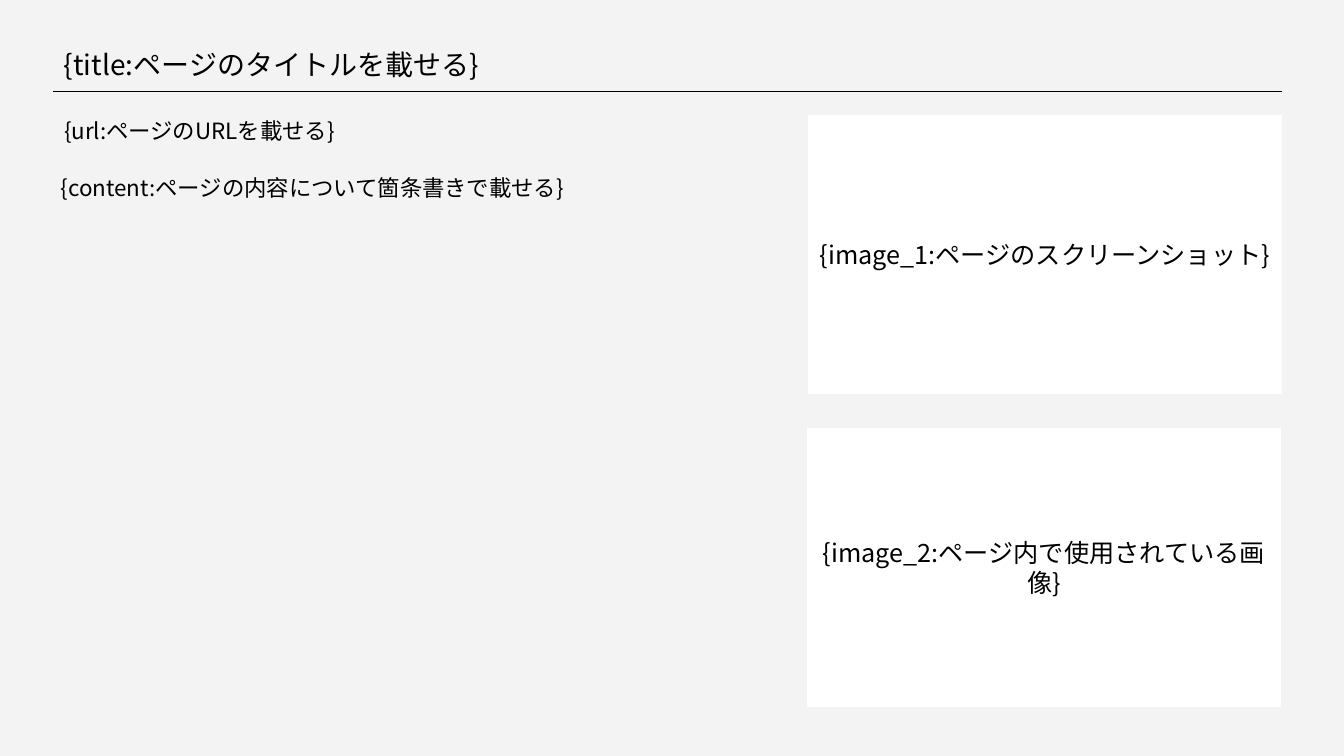
import pptx
import pptx.dml.color
import pptx.enum.shapes
import pptx.enum.text
import pptx.oxml
import pptx.oxml.ns
import pptx.util

PX = 12192000 / 1344
FONT = "Noto Sans CJK JP"


def rgb(value):
    return pptx.dml.color.RGBColor.from_string(value)


def write(shape, text, size):
    """Fill the shape with one black paragraph, in FONT for both scripts."""
    shape.text_frame.word_wrap = True
    shape.text_frame.text = text
    paragraph = shape.text_frame.paragraphs[0]
    font = paragraph.runs[0].font
    font.name = FONT
    font.size = pptx.util.Pt(size)
    font.color.rgb = rgb("000000")
    east_asian = pptx.oxml.parse_xml(
        f'<a:ea {pptx.oxml.ns.nsdecls("a")} typeface="{FONT}"/>')
    paragraph.runs[0]._r.rPr.find(pptx.oxml.ns.qn("a:latin")).addnext(east_asian)
    return paragraph


presentation = pptx.Presentation()
presentation.slide_width = round(1344 * PX)
presentation.slide_height = round(756 * PX)
slide = presentation.slides.add_slide(presentation.slide_layouts[6])
slide.background.fill.solid()
slide.background.fill.fore_color.rgb = rgb("F3F3F3")

# Title, address and content
for text, box, size, spacing in [
    ("{title:ページのタイトルを載せる}", (64, 47, 1150, 34), 20, 1.0),
    ("{url:ページのURLを載せる}", (64, 104, 1221, 46), 16, 1.5),
    ("{content:ページの内容について箇条書きで載せる}", (61, 161, 716, 547), 16, 1.5),
]:
    text_box = slide.shapes.add_textbox(*[round(length * PX) for length in box])
    frame = text_box.text_frame
    frame.margin_left = frame.margin_right = 0
    frame.margin_top = frame.margin_bottom = 0
    write(text_box, text, size).line_spacing = spacing

# Rule under the title
rule = slide.shapes.add_connector(
    pptx.enum.shapes.MSO_CONNECTOR.STRAIGHT,
    *[round(length * PX) for length in (53, 91, 1282, 91)])
rule.line.color.rgb = rgb("000000")
rule.line.width = pptx.util.Pt(0.5)
rule._element.spPr.append(
    pptx.oxml.parse_xml(f'<a:effectLst {pptx.oxml.ns.nsdecls("a")}/>'))

# Image frames
for text, left, top in [
    ("{image_1:ページのスクリーンショット}", 807, 114),
    ("{image_2:ページ内で使用されている画像}", 806, 427),
]:
    image_frame = slide.shapes.add_shape(
        pptx.enum.shapes.MSO_SHAPE.RECTANGLE,
        *[round(length * PX) for length in (left, top, 476, 281)])
    image_frame.shadow.inherit = False
    image_frame.fill.solid()
    image_frame.fill.fore_color.rgb = rgb("FFFFFF")
    image_frame.line.color.rgb = rgb("F3F3F3")
    image_frame.line.width = pptx.util.Pt(1)
    image_frame.text_frame.vertical_anchor = pptx.enum.text.MSO_ANCHOR.MIDDLE
    write(image_frame, text, 18).alignment = pptx.enum.text.PP_ALIGN.CENTER

presentation.save("out.pptx")
